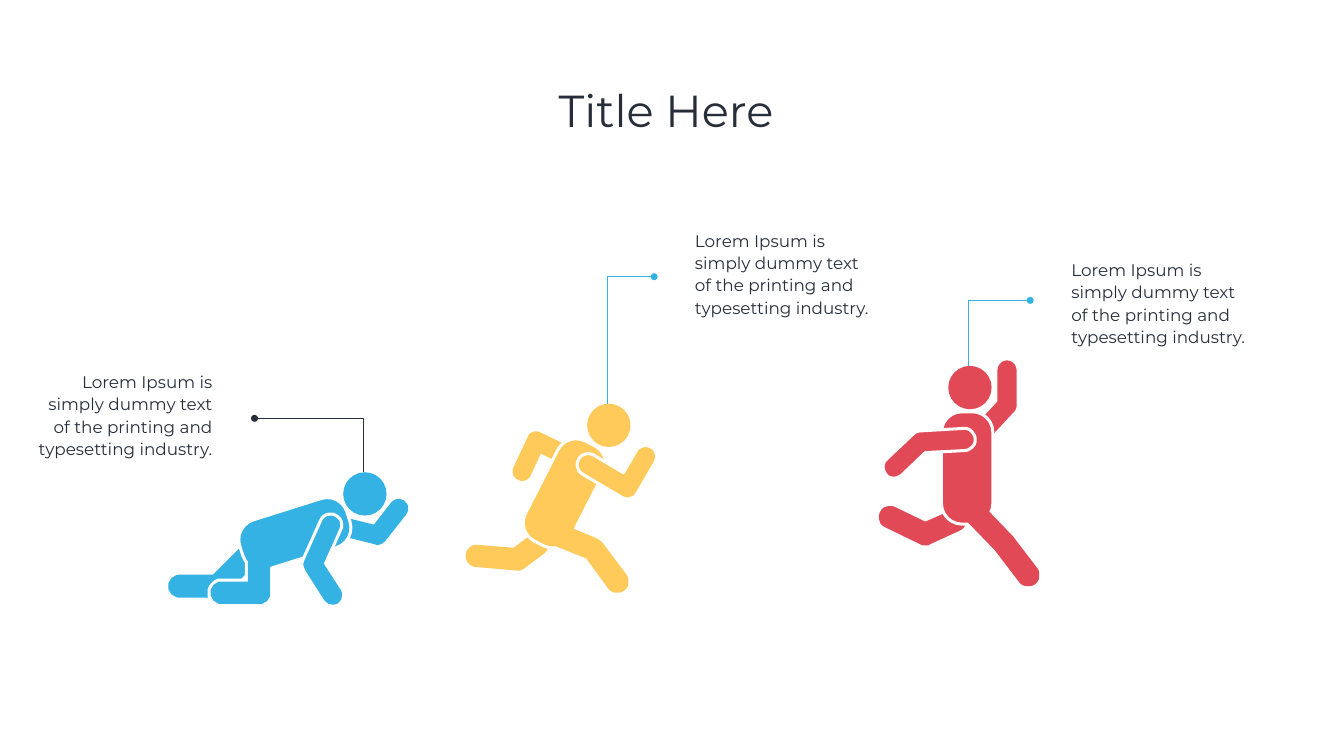
from math import atan2, cos, pi, sin, tau
from lxml.etree import SubElement
from pptx import Presentation
from pptx.dml.color import RGBColor
from pptx.enum.shapes import MSO_SHAPE as Shape
from pptx.enum.text import MSO_ANCHOR as Anchor, MSO_AUTO_SIZE as AutoSize, PP_ALIGN as Align
from pptx.oxml.ns import qn
from pptx.util import Pt

BLUE = RGBColor(0x34, 0xB2, 0xE3)
YELLOW = RGBColor(0xFF, 0xCA, 0x59)
RED = RGBColor(0xE2, 0x49, 0x56)
DARK = RGBColor(0x27, 0x2E, 0x3A)
WHITE = RGBColor(0xFF, 0xFF, 0xFF)

UNIT = 0.72
ARM_RADIUS, LEG_RADIUS, HEAD_RADIUS = 19, 22.5, 43
TORSO_WIDTH, TORSO_LENGTH, TORSO_ROUNDING = 96, 217, 0.4
GAP = 6
ARC_STEPS = 12
LEADER_OFFSET = 3
BODY = "Lorem Ipsum is simply dummy text of the printing and typesetting industry."


def add_limb(shapes, joints, radius):
    route = joints + joints[-2:0:-1]
    points = []
    for i, (x, y) in enumerate(route):
        before, after = route[i - 1], route[(i + 1) % len(route)]
        heading = atan2(y - before[1], x - before[0])
        turn = (atan2(after[1] - y, after[0] - x) - heading) % tau
        if turn < pi + 0.01:
            angles = [heading + turn * step / ARC_STEPS for step in range(ARC_STEPS + 1)]
            reach = radius
        else:
            half_turn = (turn - tau) / 2
            angles = [heading + half_turn]
            reach = radius / cos(half_turn)
        points += [(x + reach * sin(a), y - reach * cos(a)) for a in angles]
    builder = shapes.build_freeform(*points[0], scale=Pt(UNIT))
    builder.add_line_segments(points[1:], close=True)
    return builder.convert_to_shape()


def write_text(box, text, size, frame_format, para_format):
    frame = box.text_frame
    para = frame.paragraphs[0]
    span = para.add_run()
    span.text = text
    font_format = {"name": "Montserrat", "size": Pt(size), "bold": False}
    for target, values in ((frame, frame_format), (para, para_format), (span.font, font_format)):
        for name, value in values.items():
            setattr(target, name, value)
    span.font.color.rgb = DARK


figures = [
    {
        "color": RED, "head": (1924.5, 769), "torso": (1919, 928.5), "lean": 0,
        "back_arm": [(1946, 860), (1998, 804), (1998, 734)],
        "back_leg": [(1895, 1033), (1836, 1060), (1766, 1026)],
        "front_leg": [(1934, 1018), (1991, 1077), (2040, 1141)],
        "front_arm": [(1913, 872), (1827, 877), (1774, 927)],
        "dot": (2044, 596), "leader_color": BLUE,
        "caption": (2116, 507), "alignment": Align.LEFT,
    },
    {
        "color": YELLOW, "head": (1208, 844), "torso": (1120, 979), "lean": 27,
        "back_arm": [(1110, 897), (1064, 875), (1036, 935)],
        "back_leg": [(1066, 1080), (1026, 1110), (946, 1103)],
        "front_leg": [(1112, 1063), (1177, 1090), (1225, 1154)],
        "front_arm": [(1167, 922), (1245, 968), (1281, 906)],
        "dot": (1298, 549), "leader_color": BLUE,
        "caption": (1369, 449), "alignment": Align.LEFT,
    },
    {
        "color": BLUE, "head": (724, 980), "torso": (585, 1059), "lean": 72.5,
        "back_arm": [(685, 1046), (749, 1062), (791, 1009)],
        "back_leg": [(490, 1105), (432, 1163), (356, 1163)],
        "front_leg": [(514, 1095), (514, 1176), (440, 1176)],
        "front_arm": [(656, 1042), (621, 1120), (660, 1181)],
        "dot": (505, 830), "leader_color": DARK,
        "caption": (56, 729), "alignment": Align.RIGHT,
    },
]

deck = Presentation()
deck.slide_width, deck.slide_height = Pt(1920), Pt(1080)
page = deck.slides.add_slide(deck.slide_layouts[5])

for figure in figures:
    shapes = page.shapes.add_group_shape().shapes
    back_arm = add_limb(shapes, figure["back_arm"], ARM_RADIUS)
    back_leg = add_limb(shapes, figure["back_leg"], LEG_RADIUS)
    leg_gap = add_limb(shapes, figure["front_leg"], LEG_RADIUS + GAP)

    x, y = figure["torso"]
    width, length = TORSO_WIDTH + GAP, TORSO_LENGTH + GAP
    torso = shapes.add_shape(Shape.ROUNDED_RECTANGLE, Pt((x - width / 2) * UNIT),
                             Pt((y - length / 2) * UNIT), Pt(width * UNIT), Pt(length * UNIT))
    torso.adjustments[0] = TORSO_ROUNDING
    torso.rotation = figure["lean"]

    front_leg = add_limb(shapes, figure["front_leg"], LEG_RADIUS)
    front_arm = add_limb(shapes, figure["front_arm"], ARM_RADIUS + GAP / 2)
    x, y = figure["head"]
    head = shapes.add_shape(Shape.OVAL, Pt((x - HEAD_RADIUS) * UNIT), Pt((y - HEAD_RADIUS) * UNIT),
                            Pt(2 * HEAD_RADIUS * UNIT), Pt(2 * HEAD_RADIUS * UNIT))

    for part in (back_arm, back_leg, leg_gap, torso, front_leg, front_arm, head):
        part.shadow.inherit = False
        part.fill.solid()
        part.fill.fore_color.rgb = WHITE if part is leg_gap else figure["color"]
        part.line.fill.background()
    for part in (torso, front_arm):
        part.line.color.rgb = WHITE
        part.line.width = Pt(GAP * UNIT)

for figure in figures:
    dot_x, dot_y = figure["dot"]
    head_x, head_y = figure["head"]
    leader_x = head_x - LEADER_OFFSET
    builder = page.shapes.build_freeform(dot_x, dot_y, scale=Pt(UNIT))
    builder.add_line_segments([(leader_x, dot_y), (leader_x, head_y - HEAD_RADIUS)], close=False)
    leader = builder.convert_to_shape()
    leader.shadow.inherit = False
    leader.fill.background()
    leader.line.width = Pt(1)
    leader.line.color.rgb = figure["leader_color"]
    outline = leader.line.fill._xPr
    SubElement(outline, qn("a:headEnd"), type="oval", w="lg", len="lg")

title = page.shapes.title
title.left, title.top, title.width, title.height = Pt(131.76), Pt(57.6), Pt(1656), Pt(208.8)
write_text(title, "Title Here ", 64, {"vertical_anchor": Anchor.MIDDLE, "word_wrap": True},
           {"alignment": Align.CENTER, "line_spacing": 0.9})

for figure in figures:
    left, top = figure["caption"]
    caption = page.shapes.add_textbox(Pt(left * UNIT), Pt(top * UNIT), Pt(270), Pt(133.2))
    write_text(caption, BODY, 24, {"word_wrap": True, "auto_size": AutoSize.SHAPE_TO_FIT_TEXT},
               {"alignment": figure["alignment"], "line_spacing": 1.1})

deck.save("out.pptx")
